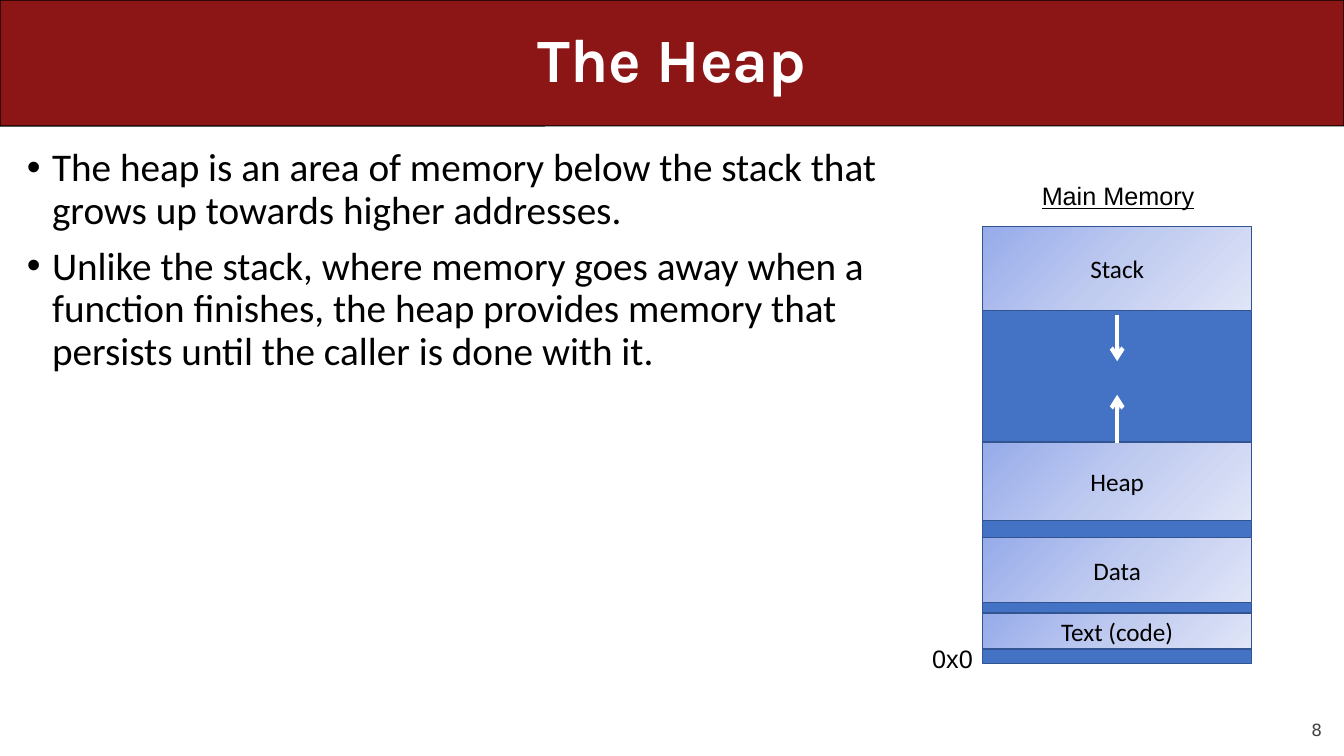
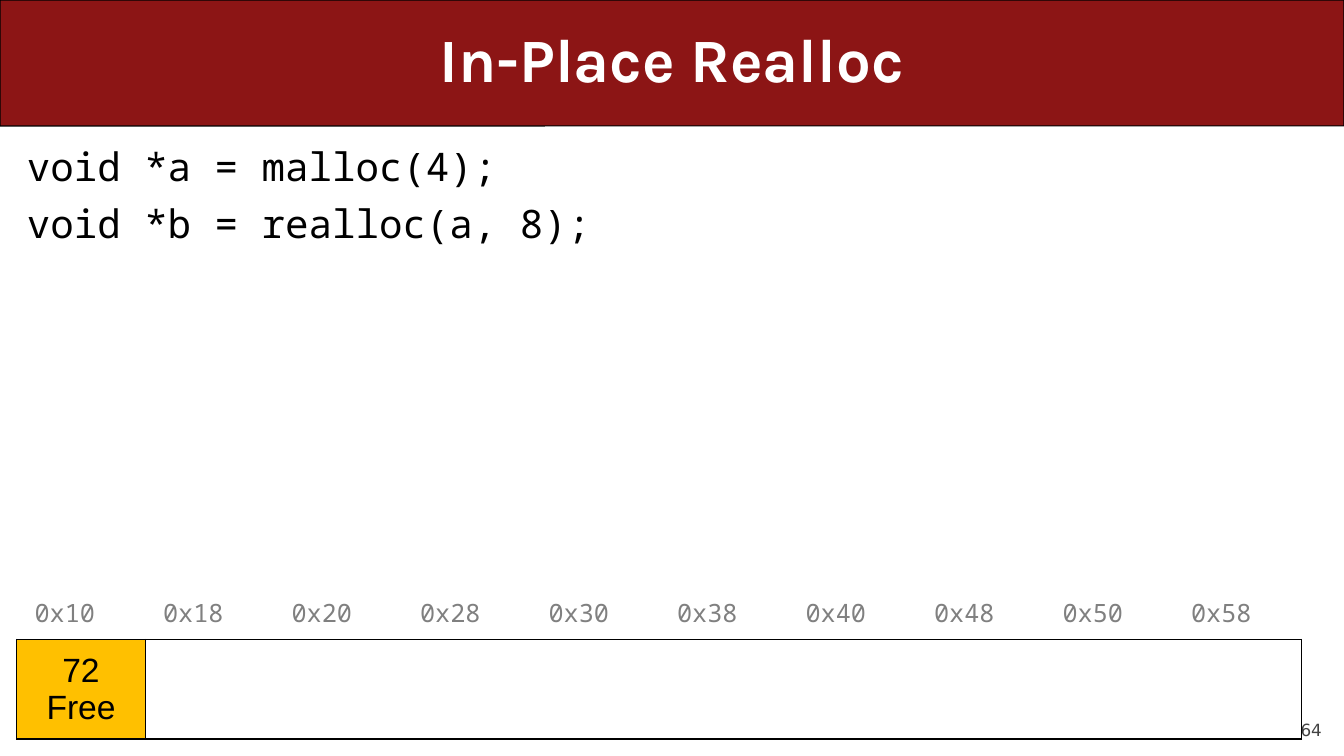
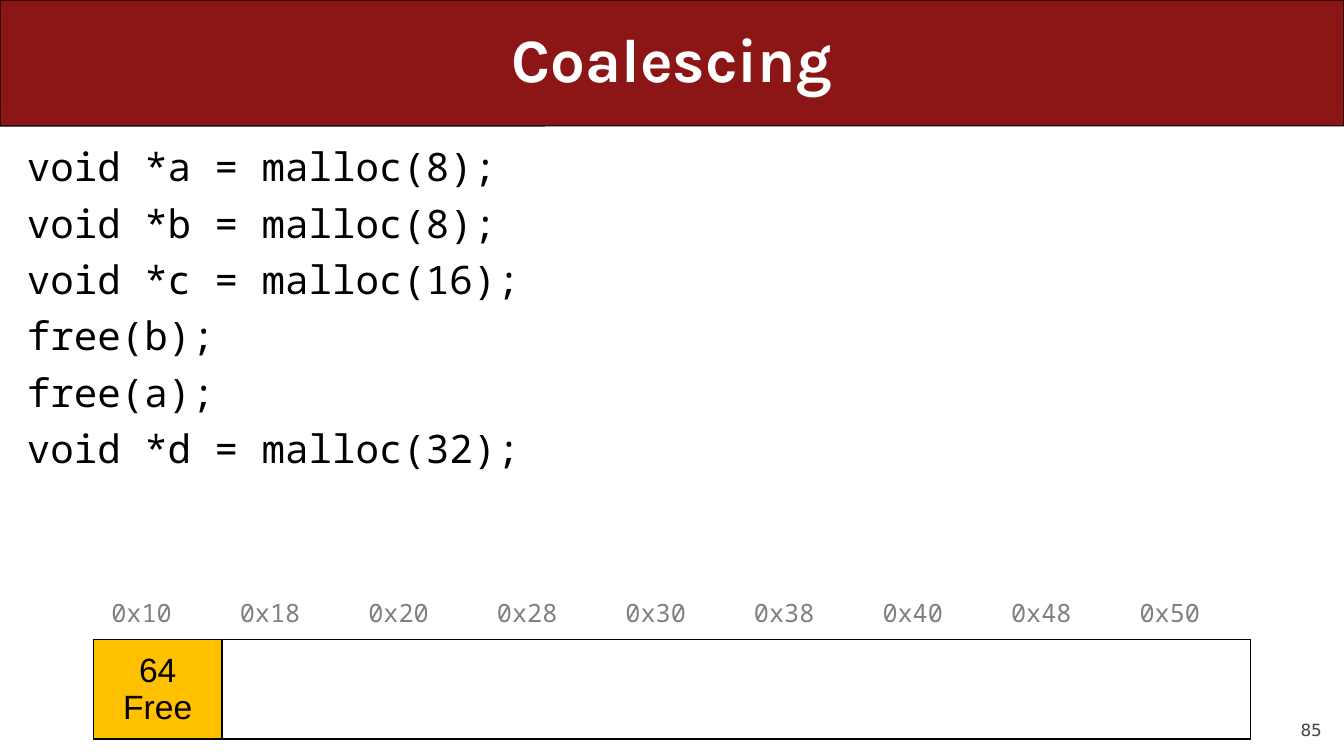
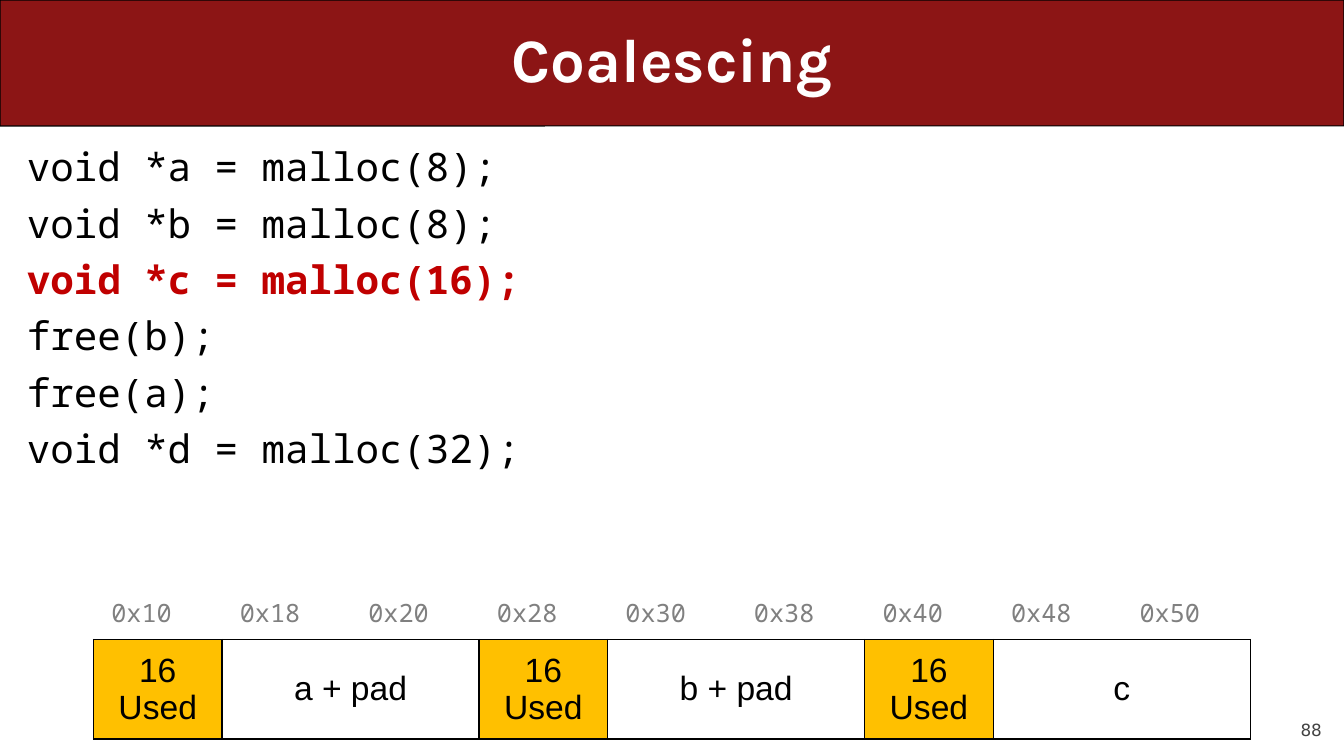
from copy import deepcopy

from lxml.etree import SubElement
from pptx import Presentation
from pptx.dml.color import RGBColor
from pptx.enum.shapes import MSO_CONNECTOR as Connector, MSO_SHAPE as Shape
from pptx.enum.text import MSO_ANCHOR as Anchor, MSO_AUTO_SIZE as AutoSize, PP_ALIGN as Align
from pptx.oxml.ns import qn
from pptx.util import Emu, Pt

PX = 9525  # EMU in one px, at 96 px to the inch
CARDINAL, AMBER, BLUE, NAVY = "8C1515", "FFC000", "4472C4", "325491"
BLACK, WHITE, GREY, DARK_GREY, RED = "000000", "FFFFFF", "808080", "424242", "C00000"
SEGMENT_GRADIENT = [(0, "96ABEA"), (0.5, "C0CBF0"), (1, "E0E5F7")]
SANS, BODY, TITLE, MONO, NUMBER = "Arial", "Calibri", "Karla", "Noto Sans Mono", "DejaVu Sans"
NO_STYLE = "{2D5ABB26-0587-4C30-8999-92F81FD0307C}"
BODY_INDENT = 24

COALESCING_CODE = [
    "void *a = malloc(8);", "void *b = malloc(8);", "void *c = malloc(16);",
    "free(b);", "free(a);", "void *d = malloc(32);",
]
WIDE_TABLE, NARROW_TABLE = (16, 536, 1224), (89, 536, 1102)
CODE_BOX = (16, 136, 1240, 400)


def px(length):
    return Emu(round(length * PX))


def rgb(color):
    return RGBColor.from_string(color)


def place(shape, box):
    shape.left, shape.top, shape.width, shape.height = map(px, box)


def set_bullet(para, bullet):
    """Give the paragraph a hanging bullet, or none if bullet is empty."""
    props = para._p.get_or_add_pPr()
    indent = px(BODY_INDENT) if bullet else 0
    props.set("marL", str(indent))
    props.set("indent", str(-indent))
    if bullet:
        SubElement(props, qn("a:buChar")).set("char", bullet)
    else:
        SubElement(props, qn("a:buNone"))


def write(frame, lines, size, font, color=BLACK, align=Align.LEFT, bold=False,
          anchor=None, bullet=None, line_spacing=None, gap=0):
    frame.text = "\n".join(lines)
    if anchor is not None:
        frame.vertical_anchor = anchor
    for number, para in enumerate(frame.paragraphs):
        para.alignment = align
        para.line_spacing = line_spacing
        para.space_before = Pt(gap if number else 0)
        if bullet is not None:
            set_bullet(para, bullet)
        para.font.size, para.font.name, para.font.bold = Pt(size), font, bold
        para.font.color.rgb = rgb(color)


def add_block(page, kind, box, fill, line, weight):
    block = page.shapes.add_shape(kind, *map(px, box))
    block.shadow.inherit = False
    block.fill.solid()
    block.fill.fore_color.rgb = rgb(fill)
    block.line.color.rgb = rgb(line)
    block.line.width = Pt(weight)
    return block


def add_label(page, box, text, **style):
    label = page.shapes.add_textbox(*map(px, box))
    label.text_frame.word_wrap = False
    write(label.text_frame, [text], align=Align.RIGHT, **style)
    return label


def move_band_to_layout(page):
    """Draw the title band once, behind the title of the shared layout."""
    band = add_block(page, Shape.ROUNDED_RECTANGLE, (0, 0, 1280, 120), CARDINAL, BLACK, 0.75)
    band.adjustments[0] = 0.001
    page.slide_layout.placeholders[0].element.addprevious(band.element)


def add_page(deck, title, number):
    page = deck.slides.add_slide(deck.slide_layouts[1])
    place(page.shapes.title, (48, 0, 1184, 120))
    frame = page.shapes.title.text_frame
    frame.auto_size = AutoSize.NONE
    write(frame, [title], 44, TITLE, WHITE, Align.CENTER, bold=True,
          anchor=Anchor.MIDDLE, line_spacing=0.9)
    label = add_label(page, (1152, 667, 107, 38), str(number), size=12, font=NUMBER,
                      color=DARK_GREY, anchor=Anchor.BOTTOM)
    frame = label.text_frame
    frame.margin_left = frame.margin_top = frame.margin_right = frame.margin_bottom = 0
    return page


def fill_body(page, box, lines, font, bullet):
    body = page.placeholders[1]
    place(body, box)
    body.text_frame.auto_size = AutoSize.NONE
    write(body.text_frame, lines, 28, font, bullet=bullet, line_spacing=0.9, gap=10)
    return body.text_frame


def add_segment(page, box, name):
    segment = add_block(page, Shape.RECTANGLE, box, BLUE, NAVY, 1)
    segment.fill.gradient()
    segment.fill.gradient_angle = 315
    stop_list = segment.element.find(".//" + qn("a:gsLst"))
    stop_list.append(deepcopy(stop_list[-1]))
    for stop, (position, color) in zip(segment.fill.gradient_stops, SEGMENT_GRADIENT):
        stop.position = position
        stop.color.rgb = rgb(color)
    write(segment.text_frame, [name], 18, BODY, align=Align.CENTER, anchor=Anchor.MIDDLE)


def add_arrow(page, x, start, end):
    arrow = page.shapes.add_connector(Connector.STRAIGHT, px(x), px(start), px(x), px(end))
    arrow.line.color.rgb = rgb(WHITE)
    arrow.line.width = Pt(3)
    SubElement(arrow.line._get_or_add_ln(), qn("a:tailEnd")).set("type", "arrow")
    SubElement(arrow.element.spPr, qn("a:effectLst"))


def add_memory_map(page, box):
    left, top, width, height = box
    add_block(page, Shape.RECTANGLE, box, BLUE, NAVY, 1)
    for name, offset, depth in [("Stack", 0, 80), ("Heap", 205, 75),
                                ("Data", 296, 62), ("Text (code)", 368, 34)]:
        add_segment(page, (left, top + offset, width, depth), name)
    for start, end in [(84, 128), (206, 160)]:
        add_arrow(page, left + width / 2, top + start, top + end)
    add_label(page, (left - 72, top + height - 24, 72, 48), "0x0", size=18, font=SANS)
    heading = add_label(page, (left + 45, top - 49, 166, 38), "Main Memory", size=18, font=SANS)
    heading.text_frame.paragraphs[0].font.underline = True


def set_borders(cell, sides):
    props = cell._tc.get_or_add_tcPr()
    for index, side in enumerate(sides):
        line = props.makeelement(qn("a:ln" + side), {"w": str(Pt(1))})
        fill = SubElement(line, qn("a:solidFill"))
        SubElement(fill, qn("a:srgbClr")).set("val", BLACK)
        props.insert(index, line)


def write_cell(cell, lines, fill=None, **style):
    cell.margin_left = cell.margin_right = px(17)
    cell.margin_top = cell.margin_bottom = px(9)
    if fill:
        cell.fill.solid()
        cell.fill.fore_color.rgb = rgb(fill)
    else:
        cell.fill.background()
    write(cell.text_frame, lines, **style)


def add_heap_table(page, box, blocks):
    """Lay out blocks, each (header lines, payload, payload columns), under their addresses."""
    left, top, width = box
    columns = sum(1 + span for _, _, span in blocks)
    frame = page.shapes.add_table(2, columns, px(left), px(top), px(width), px(162))
    table = frame.table
    table.first_row = table.horz_banding = False
    frame.element.find(".//" + qn("a:tableStyleId")).text = NO_STYLE
    table.rows[0].height, table.rows[1].height = px(73), px(89)
    for index, column in enumerate(table.columns):
        column.width = px(width / columns)
        address = table.cell(0, index)
        write_cell(address, [f"0x{16 + 8 * index:x}"], size=18, font=MONO, color=GREY)
        address.vertical_anchor = Anchor.BOTTOM
        set_borders(table.cell(1, index), "LRTB")
    start = 0
    for header, payload, span in blocks:
        payload_cell = table.cell(1, start + 1)
        payload_cell.merge(table.cell(1, start + span))
        for cell, lines, fill in [(table.cell(1, start), header, AMBER),
                                  (payload_cell, [payload], None)]:
            write_cell(cell, lines, fill, size=24, font=SANS, align=Align.CENTER)
            cell.vertical_anchor = Anchor.MIDDLE
        start += 1 + span


def add_code_page(deck, title, number, code, table_box, blocks, current=None):
    """Show code above the heap it leads to; current is the index of the line just run."""
    page = add_page(deck, title, number)
    frame = fill_body(page, CODE_BOX, code, MONO, "")
    if current is not None:
        font = frame.paragraphs[current].font
        font.bold = True
        font.color.rgb = rgb(RED)
    add_heap_table(page, table_box, blocks)


def add_heap_page(deck):
    page = add_page(deck, "The Heap", 8)
    move_band_to_layout(page)
    fill_body(page, (16, 136, 849, 576), [
        "The heap is an area of memory below the stack that grows up towards higher addresses.",
        "Unlike the stack, where memory goes away when a function finishes, the heap provides "
        "memory that persists until the caller is done with it.",
    ], BODY, "•")
    add_memory_map(page, (936, 216, 256, 416))


def main():
    deck = Presentation()
    deck.slide_width, deck.slide_height = px(1280), px(720)
    add_heap_page(deck)
    add_code_page(deck, "In-Place Realloc", 64,
                  ["void *a = malloc(4);", "void *b = realloc(a, 8);"],
                  WIDE_TABLE, [(["72", "Free"], "", 9)])
    add_code_page(deck, "Coalescing", 85, COALESCING_CODE,
                  NARROW_TABLE, [(["64", "Free"], "", 8)])
    used = ["16", "Used"]
    add_code_page(deck, "Coalescing", 88, COALESCING_CODE, NARROW_TABLE,
                  [(used, "a + pad", 2), (used, "b + pad", 2), (used, "c", 2)], current=2)
    deck.save("out.pptx")


if __name__ == "__main__":
    main()
